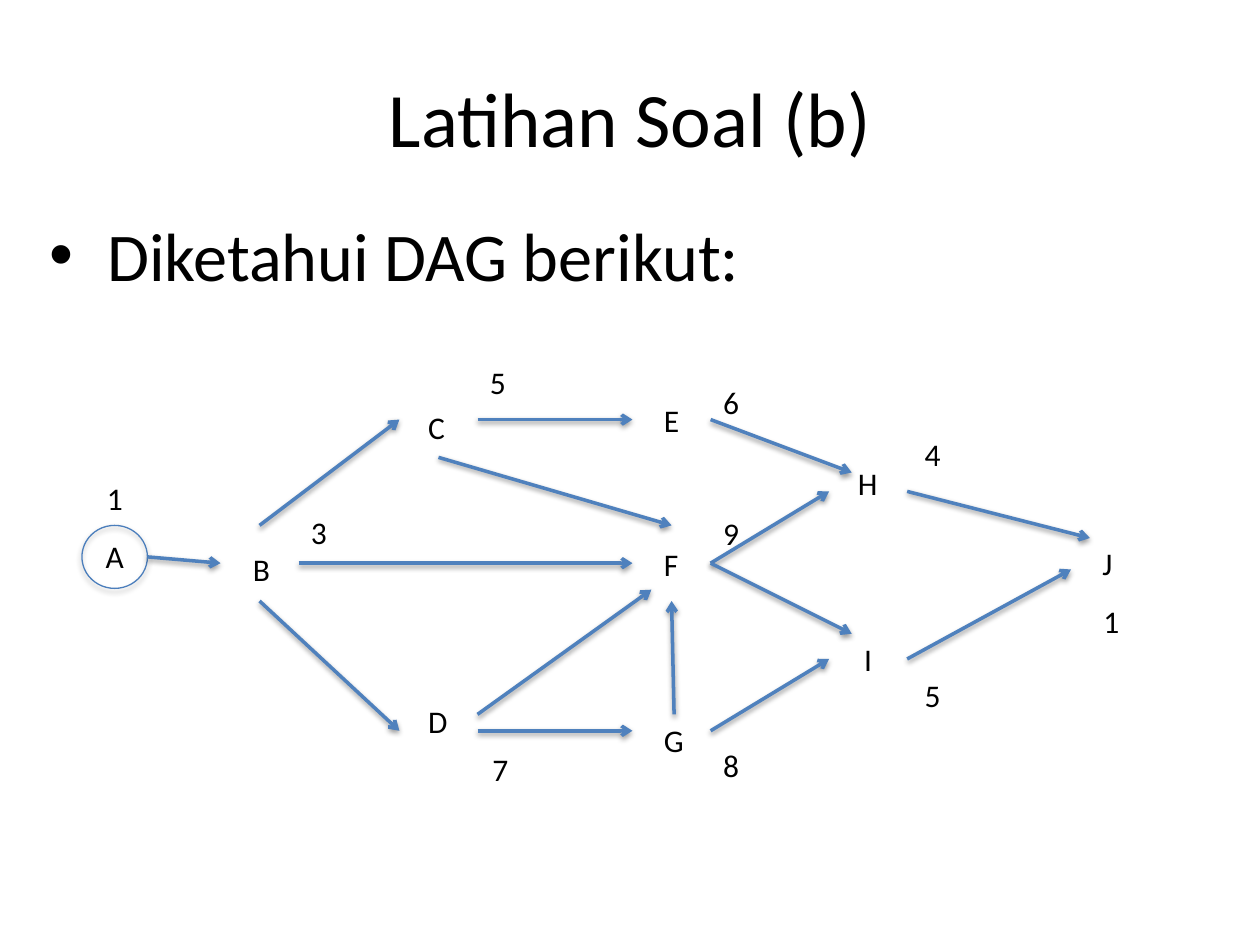
import pptx
import pptx.dml.color
import pptx.enum.shapes
import pptx.enum.text
import pptx.oxml
import pptx.oxml.ns
import pptx.util
from pptx.util import Inches

COLORS = {"text": "000000", "edge": "4F81BD", "ring": "4B7EBC", "shadow": "000000"}
FONT = "Calibri"
LABEL_HEIGHT = 0.4
WEIGHT_WIDTH = 0.33

NODES = [
    ("A", 0.14, 1.41, 0.35), ("B", 1.31, 1.52, 0.34), ("C", 2.7, 0.39, 0.34),
    ("D", 2.7, 2.72, 0.36), ("E", 4.57, 0.33, 0.32), ("F", 4.57, 1.48, 0.32),
    ("G", 4.57, 2.87, 0.36), ("H", 6.11, 0.83, 0.36), ("I", 6.16, 2.23, 0.27),
    ("J", 8.05, 1.47, 0.28),
]
WEIGHTS = [
    ("1", 0.15, 0.95), ("3", 1.77, 1.22), ("5", 3.19, 0.03), ("6", 5.04, 0.19),
    ("9", 5.04, 1.23), ("7", 3.21, 3.1), ("8", 5.04, 3.07), ("4", 6.64, 0.6),
    ("5", 6.64, 2.52), ("1", 8.06, 1.93),
]
EDGES = {
    "AB": (0.57, 1.62, 1.15, 1.67), "BC": (1.46, 1.37, 2.57, 0.53),
    "BD": (1.46, 1.97, 2.57, 3), "BF": (1.77, 1.67, 4.42, 1.67),
    "CE": (3.19, 0.53, 4.42, 0.53), "CF": (2.88, 0.83, 4.73, 1.37),
    "DF": (3.19, 2.87, 4.57, 1.88), "DG": (3.19, 3, 4.42, 3),
    "EH": (5.04, 0.53, 6.16, 0.95), "FH": (5.04, 1.67, 5.98, 1.1),
    "FI": (5.04, 1.67, 6.16, 2.23), "GI": (5.04, 3, 5.98, 2.43),
    "GF": (4.75, 2.87, 4.73, 1.97), "HJ": (6.6, 1.1, 8.05, 1.47),
    "IJ": (6.6, 2.43, 7.9, 1.72),
}


def rgb(name):
    """Return a named colour."""
    return pptx.dml.color.RGBColor.from_string(COLORS[name])


def add_run(paragraph, wording, size):
    """Add one formatted run to a paragraph."""
    run = paragraph.add_run()
    run.text = wording
    run.font.size = pptx.util.Pt(size)
    run.font.name = FONT
    run.font.color.rgb = rgb("text")


def add_shadow(part, distance, opacity):
    """Give a shape or connector a soft shadow straight below it."""
    blur = pptx.util.Pt(3.1)
    part._element.spPr.append(pptx.oxml.parse_xml(
        f'<a:effectLst {pptx.oxml.ns.nsdecls("a")}>'
        f'<a:outerShdw blurRad="{blur}" dist="{pptx.util.Pt(distance)}" '
        'dir="5400000" rotWithShape="0">'
        f'<a:srgbClr val="{COLORS["shadow"]}"><a:alpha val="{opacity * 1000}"/>'
        '</a:srgbClr></a:outerShdw></a:effectLst>'))


def fill_placeholder(placeholder, box, wording, size):
    """Move a placeholder into its box, write its text and return the paragraph."""
    placeholder.left, placeholder.top, placeholder.width, placeholder.height = map(Inches, box)
    placeholder.text_frame.auto_size = pptx.enum.text.MSO_AUTO_SIZE.NONE
    paragraph = placeholder.text_frame.paragraphs[0]
    paragraph.space_before = pptx.util.Pt(0)
    add_run(paragraph, wording, size)
    return paragraph


def add_heading(slide, box):
    """Place the centred slide title."""
    heading = fill_placeholder(slide.shapes.title, box, "Latihan Soal (b)", 44)
    heading.alignment = pptx.enum.text.PP_ALIGN.CENTER


def add_question(slide, box):
    """Place the bulleted question."""
    question = fill_placeholder(slide.placeholders[1], box, "Diketahui DAG berikut:", 39)
    properties = question._p.get_or_add_pPr()
    properties.set("marL", str(Inches(0.46)))
    properties.set("indent", str(Inches(-0.46)))


def add_label(slide, left, top, width, wording):
    """Place a node letter or a weight."""
    label = slide.shapes.add_textbox(
        Inches(left), Inches(top), Inches(width), Inches(LABEL_HEIGHT))
    label.text_frame.word_wrap = False
    label.text_frame.auto_size = pptx.enum.text.MSO_AUTO_SIZE.SHAPE_TO_FIT_TEXT
    add_run(label.text_frame.paragraphs[0], wording, 18)


def add_start_ring(slide, left, top):
    """Place the ring around the start node."""
    ring = slide.shapes.add_shape(
        pptx.enum.shapes.MSO_SHAPE.OVAL,
        Inches(left), Inches(top), Inches(0.52), Inches(0.5))
    ring.fill.background()
    ring.line.color.rgb = rgb("ring")
    ring.line.width = pptx.util.Pt(0.75)
    add_shadow(ring, 1.8, 35)


def add_edge(slide, start_x, start_y, end_x, end_y):
    """Draw one directed edge."""
    edge = slide.shapes.add_connector(
        pptx.enum.shapes.MSO_CONNECTOR.STRAIGHT,
        Inches(start_x), Inches(start_y), Inches(end_x), Inches(end_y))
    edge.line.color.rgb = rgb("edge")
    edge.line.width = pptx.util.Pt(2)
    edge.line._get_or_add_ln().append(pptx.oxml.parse_xml(
        f'<a:tailEnd {pptx.oxml.ns.nsdecls("a")} type="arrow"/>'))
    add_shadow(edge, 1.6, 38)


def add_graph(slide, left, top):
    """Draw the weighted graph from the top left corner of its box."""
    add_start_ring(slide, left + 0.05, top + 1.37)
    for letter, x, y, width in NODES:
        add_label(slide, left + x, top + y, width, letter)
    for start_x, start_y, end_x, end_y in EDGES.values():
        add_edge(slide, left + start_x, top + start_y, left + end_x, top + end_y)
    for weight, x, y in WEIGHTS:
        add_label(slide, left + x, top + y, WEIGHT_WIDTH, weight)


def main():
    """Build and save the slide."""
    presentation = pptx.Presentation()
    presentation.slide_width = Inches(10)
    presentation.slide_height = Inches(7.5)
    slide = presentation.slides.add_slide(presentation.slide_layouts[1])
    add_heading(slide, (0.5, 0.3, 9, 1.25))
    add_question(slide, (0.29, 1.64, 9, 4.95))
    add_graph(slide, 0.6, 2.8)
    presentation.save("out.pptx")


if __name__ == "__main__":
    main()
